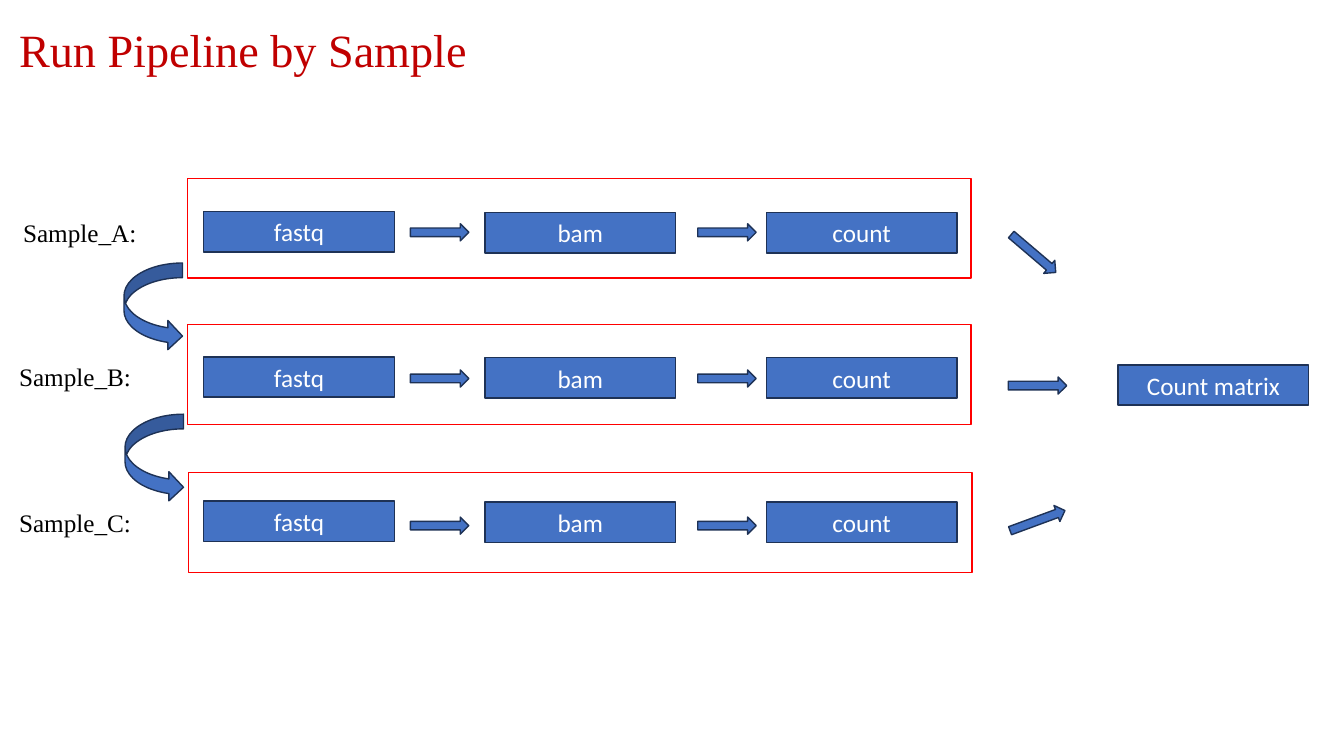
from pptx import Presentation
from pptx.dml.color import RGBColor
from pptx.enum.shapes import MSO_SHAPE
from pptx.enum.text import MSO_ANCHOR, PP_ALIGN
from pptx.util import Inches, Pt

RECTANGLE = MSO_SHAPE.RECTANGLE
RIGHT_ARROW = MSO_SHAPE.RIGHT_ARROW
CURVED_ARROW = MSO_SHAPE.CURVED_RIGHT_ARROW
TOP, MIDDLE = MSO_ANCHOR.TOP, MSO_ANCHOR.MIDDLE
LEFT, CENTER = PP_ALIGN.LEFT, PP_ALIGN.CENTER

SERIF = "Times New Roman"
SANS = "Calibri"
COLORS = {
    "title": "C00000",
    "label": "000000",
    "fill": "4472C4",
    "outline": "1E3256",
    "frame": "FF0000",
    "step": "FFFFFF",
}

STEPS = ["fastq", "bam", "count"]
STEP_LEFT, STEP_PITCH = 2.02, 2.79
STEP_ARROW_LEFTS = [4.07, 6.92]
SAMPLES = [
    {"name": "Sample_A:", "label": (0.13, 2.11), "steps": (2.1, 2.11, 2.11),
     "arrow": 2.22, "frame": (1.86, 1.77), "merge": (9.96, 2.43, 40.4)},
    {"name": "Sample_B:", "label": (0.09, 3.54), "steps": (3.54, 3.55, 3.55),
     "arrow": 3.67, "frame": (1.86, 3.22), "merge": (10, 3.74, 0)},
    {"name": "Sample_C:", "label": (0.09, 4.98), "steps": (4.97, 4.98, 4.98),
     "arrow": 5.13, "frame": (1.87, 4.69), "merge": (10, 5.08, 339.8)},
]
NEXT_SAMPLE_ARROWS = [(1.23, 2.61), (1.24, 4.11)]


def color(name):
    return RGBColor.from_string(COLORS[name])


def write_text(box, text, *, size=18, font=SANS, ink="step", align=CENTER,
               anchor=MIDDLE, spacing=None):
    frame = box.text_frame
    frame.word_wrap = True
    frame.vertical_anchor = anchor
    para = frame.paragraphs[0]
    para.alignment = align
    para.line_spacing = spacing
    span = para.add_run()
    span.text = text
    span.font.size = Pt(size)
    span.font.name = font
    span.font.color.rgb = color(ink)


def add_text(page, text, left, top, width, height, **text_format):
    box = page.shapes.add_textbox(Inches(left), Inches(top), Inches(width), Inches(height))
    write_text(box, text, font=SERIF, align=LEFT, anchor=TOP, **text_format)


def add_figure(page, kind, left, top, width, height, fill="fill", outline="outline"):
    figure = page.shapes.add_shape(
        kind, Inches(left), Inches(top), Inches(width), Inches(height))
    figure.shadow.inherit = False
    if fill:
        figure.fill.solid()
        figure.fill.fore_color.rgb = color(fill)
    else:
        figure.fill.background()
    figure.line.color.rgb = color(outline)
    figure.line.width = Pt(1)
    return figure


def add_step(page, text, left, top):
    write_text(add_figure(page, RECTANGLE, left, top, 1.89, 0.4), text)


def add_arrow(page, left, top, rotation=0):
    add_figure(page, RIGHT_ARROW, left, top, 0.58, 0.17).rotation = rotation


def add_sample(page, sample):
    add_text(page, sample["name"], *sample["label"], 1.58, 0.4, ink="label")
    for column, (step, top) in enumerate(zip(STEPS, sample["steps"])):
        add_step(page, step, STEP_LEFT + column * STEP_PITCH, top)
    for left in STEP_ARROW_LEFTS:
        add_arrow(page, left, sample["arrow"])
    add_arrow(page, *sample["merge"])
    add_figure(page, RECTANGLE, *sample["frame"], 7.77, 0.99, fill=None, outline="frame")


def main():
    deck = Presentation()
    deck.slide_width, deck.slide_height = Inches(13.33), Inches(7.5)
    page = deck.slides.add_slide(deck.slide_layouts[6])
    add_text(page, "Run Pipeline by Sample", 0.09, 0.22, 9.68, 0.51,
             size=33, ink="title", spacing=0.9)
    for sample in SAMPLES:
        add_sample(page, sample)
    add_step(page, "Count matrix", 11.09, 3.62)
    for left, top in NEXT_SAMPLE_ARROWS:
        add_figure(page, CURVED_ARROW, left, top, 0.58, 0.87)
    deck.save("out.pptx")


if __name__ == "__main__":
    main()
